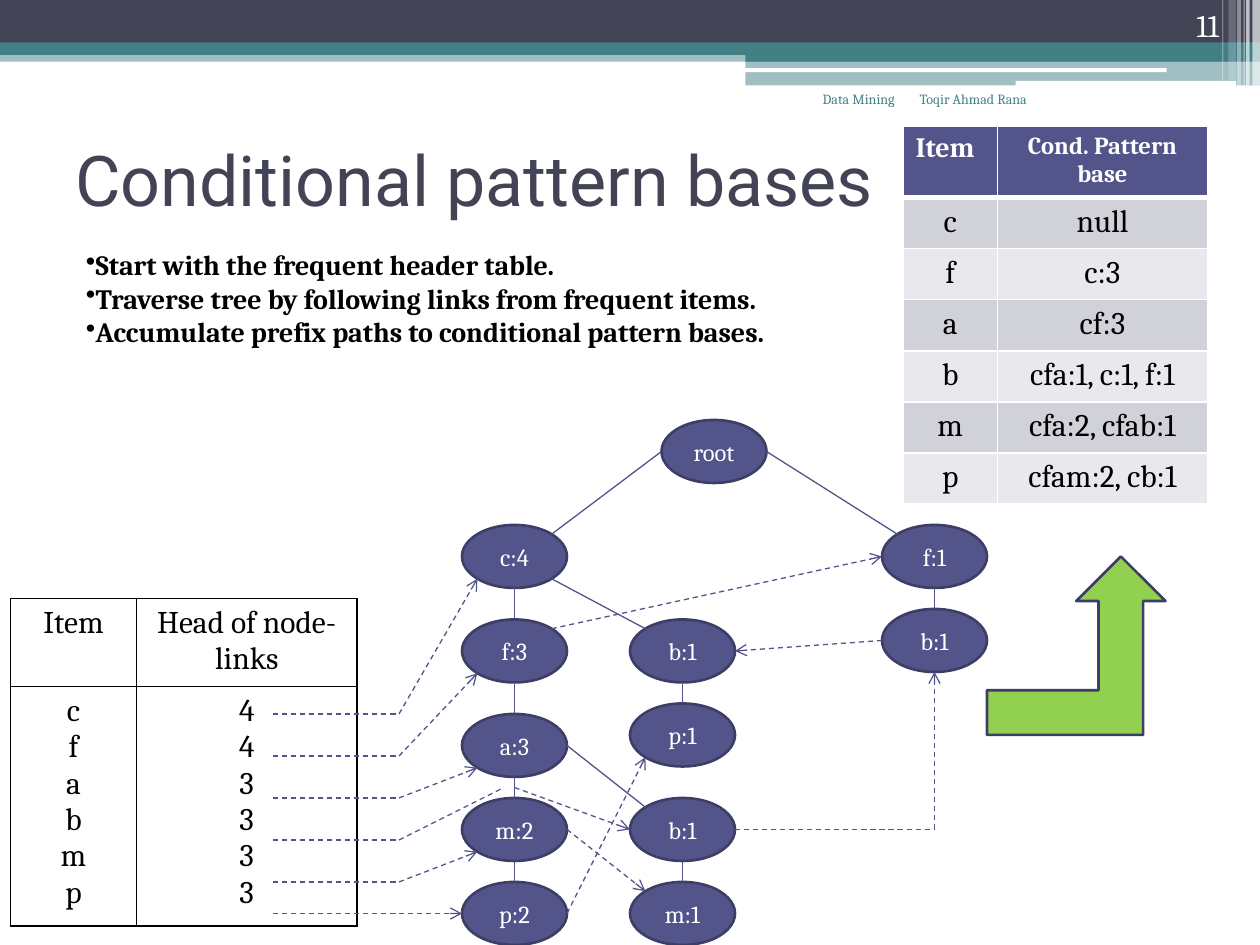
"""Build the slide on conditional pattern bases of a frequent-pattern tree."""
from lxml import etree
from pptx import Presentation
from pptx.dml.color import RGBColor
from pptx.enum.dml import MSO_LINE
from pptx.enum.shapes import MSO_CONNECTOR, MSO_SHAPE
from pptx.enum.text import MSO_ANCHOR, PP_ALIGN
from pptx.oxml.ns import qn
from pptx.util import Pt

RECT, ROUNDED = MSO_SHAPE.RECTANGLE, MSO_SHAPE.ROUNDED_RECTANGLE
ELLIPSE, BENT_ARROW = MSO_SHAPE.OVAL, MSO_SHAPE.BENT_UP_ARROW
STRAIGHT, DASH = MSO_CONNECTOR.STRAIGHT, MSO_LINE.DASH
LEFT, CENTER, RIGHT = PP_ALIGN.LEFT, PP_ALIGN.CENTER, PP_ALIGN.RIGHT
TOP, MIDDLE, BOTTOM = MSO_ANCHOR.TOP, MSO_ANCHOR.MIDDLE, MSO_ANCHOR.BOTTOM

COLORS = {
    "white": "FFFFFF", "black": "000000", "slate": "424456", "teal": "438086",
    "indigo": "53548A", "outline": "3D3E66", "green": "92D050",
    "band_dark": "D1D1DA", "band_light": "E9E9ED",
}

BANDS = [
    (RECT, 0, 28.8, 720, 6.5, "teal", 50),
    (RECT, 0, 0, 720, 24.5, "slate", 100),
    (RECT, 0, 24.2, 720, 7.2, "teal", 100),
    (RECT, 426, 28, 294, 7.2, "teal", 100),
    (RECT, 426, 34.6, 294, 14.2, "teal", 50),
    (ROUNDED, 425.5, 39, 241.2, 2.2, "white", 100),
    (ROUNDED, 580.3, 46.3, 126, 2.9, "white", 100),
    (RECT, 715.7, 0, 4.3, 49, "white", 65),
    (RECT, 712.1, 0, 2.1, 49, "white", 65),
    (RECT, 710.6, 0, 0.7, 49, "white", 60),
    (RECT, 707, 0, 2.1, 49, "white", 40),
    (RECT, 702, 0, 4.3, 46, "white", 20),
    (RECT, 698.4, 0, 0.7, 46, "white", 30),
]

NODE_W, NODE_H = 60, 36
NODES = {
    "root": ("root", 408, 258),
    "c": ("c:4", 294, 318), "f": ("f:3", 294, 372), "a": ("a:3", 294, 426),
    "m": ("m:2", 294, 474), "p": ("p:2", 294, 522),
    "cb": ("b:1", 390, 372), "cbp": ("p:1", 390, 420),
    "ab": ("b:1", 390, 474), "abm": ("m:1", 390, 522),
    "f_right": ("f:1", 534, 318), "b_right": ("b:1", 534, 366),
}
DIAGONAL = 0.707
SIDES = {
    "n": (0, -1), "s": (0, 1), "w": (-1, 0), "e": (1, 0),
    "nw": (-DIAGONAL, -DIAGONAL), "ne": (DIAGONAL, -DIAGONAL),
    "sw": (-DIAGONAL, DIAGONAL), "se": (DIAGONAL, DIAGONAL),
}
TREE_EDGES = [
    ("root", "w", "c", "ne"), ("root", "e", "f_right", "nw"),
    ("c", "s", "f", "n"), ("f", "s", "a", "n"), ("a", "s", "m", "n"),
    ("m", "s", "p", "n"), ("c", "se", "cb", "nw"), ("cb", "s", "cbp", "n"),
    ("a", "e", "ab", "nw"), ("ab", "s", "abm", "n"),
    ("f_right", "s", "b_right", "n"),
]
NODE_LINKS = [
    ("p", "e", "cbp", "sw"), ("m", "e", "abm", "nw"),
    ("f", "ne", "f_right", "w"), ("b_right", "w", "cb", "e"),
]
HEAD_LINKS = [
    (408, "c", "sw"), (432, "f", "sw"), (456, "a", "sw"),
    (504, "m", "sw"), (522, "p", "w"),
]
HEAD_X, KINK_X = 156, 228
B_LINK_Y, B_LINK_END, B_LINK_RESUME = 480, (288, 450), (294, 450)

PATTERN_BASES = [
    ("c", "null"), ("f", "c:3"), ("a", "cf:3"), ("b", "cfa:1, c:1, f:1"),
    ("m", "cfa:2, cfab:1"), ("p", "cfam:2, cb:1"),
]


def rgb(color):
    return RGBColor.from_string(COLORS[color])


def write(frame, text, size=18, color="black", font="Cambria", bold=False,
          align=LEFT, anchor=TOP, bullet=None):
    frame.word_wrap = True
    frame.vertical_anchor = anchor
    frame.text = text
    for paragraph in frame.paragraphs:
        paragraph.alignment = align
        if bullet:
            mark = etree.SubElement(paragraph._p.get_or_add_pPr(), qn("a:buChar"))
            mark.set("char", bullet)
        for run in paragraph.runs:
            run.font.name, run.font.size, run.font.bold = font, Pt(size), bold
            run.font.color.rgb = rgb(color)


def add_text(slide, box, text, **style):
    write(slide.shapes.add_textbox(*map(Pt, box)).text_frame, text, **style)


def add_figure(slide, kind, box, fill, outline=None, opacity=100):
    figure = slide.shapes.add_shape(kind, *map(Pt, box))
    figure.shadow.inherit = False
    figure.fill.solid()
    figure.fill.fore_color.rgb = rgb(fill)
    if opacity < 100:
        tint = figure.fill._xPr.find(qn("a:solidFill"))[0]
        etree.SubElement(tint, qn("a:alpha")).set("val", str(opacity * 1000))
    if outline:
        figure.line.color.rgb = rgb(outline)
        figure.line.width = Pt(1.5)
    else:
        figure.line.fill.background()
    return figure


def add_node(slide, label, x, y):
    box = (x - NODE_W / 2, y - NODE_H / 2, NODE_W, NODE_H)
    node = add_figure(slide, ELLIPSE, box, "indigo", "outline")
    write(node.text_frame, label, size=14, color="white", align=CENTER, anchor=MIDDLE)


def port(node, side):
    _, x, y = NODES[node]
    dx, dy = SIDES[side]
    return x + dx * NODE_W / 2, y + dy * NODE_H / 2


def add_link(slide, start, end, dashed=False, arrow=False):
    link = slide.shapes.add_connector(STRAIGHT, *map(Pt, (*start, *end)))
    link.line.color.rgb = rgb("indigo")
    link.line.width = Pt(0.75)
    if dashed:
        link.line.dash_style = DASH
    if arrow:
        etree.SubElement(link.line._get_or_add_ln(), qn("a:tailEnd")).set("type", "arrow")
    etree.SubElement(link._element.spPr, qn("a:effectLst"))


def add_grid(slide, left, top, widths, heights):
    box = map(Pt, (left, top, sum(widths), sum(heights)))
    table = slide.shapes.add_table(len(heights), len(widths), *box).table
    table.first_row = table.horz_banding = False
    for column, width in zip(table.columns, widths):
        column.width = Pt(width)
    for row, height in zip(table.rows, heights):
        row.height = Pt(height)
    return table


def fill_cell(cell, text, border, fill=None, edges=(1, 1, 1, 1), **style):
    properties = cell._tc.get_or_add_tcPr()
    for side, width in zip("LRTB", edges):
        edge = etree.SubElement(properties, qn(f"a:ln{side}"), w=str(Pt(width)))
        paint = etree.SubElement(edge, qn("a:solidFill"))
        etree.SubElement(paint, qn("a:srgbClr"), val=COLORS[border])
    if fill:
        cell.fill.solid()
        cell.fill.fore_color.rgb = rgb(fill)
    else:
        cell.fill.background()
    write(cell.text_frame, text, **style)


def add_header_table(slide):
    table = add_grid(slide, 6, 342, (72, 126), (50.4, 136.8))
    rows = [("Item", "Head of node-links"), ("c\nf\na\nb\nm\np", "4\n4\n3\n3\n3\n3")]
    for r, row in enumerate(rows):
        for c, text in enumerate(row):
            fill_cell(table.cell(r, c), text, "black", align=CENTER)


def add_pattern_table(slide):
    table = add_grid(slide, 516, 72, (54, 120), [40.4] + [29.2] * len(PATTERN_BASES))
    for c, (text, size, align) in enumerate([("Item", 16, LEFT), ("Cond. Pattern base", 14, CENTER)]):
        fill_cell(table.cell(0, c), text, "white", "indigo", (1, 1, 1, 3),
                  size=size, color="white", bold=True, align=align)
    for r, row in enumerate(PATTERN_BASES, 1):
        edges = (1, 1, 3 if r == 1 else 1, 1)
        for c, text in enumerate(row):
            fill_cell(table.cell(r, c), text, "white", "band_dark" if r % 2 else "band_light",
                      edges, align=CENTER)


def add_tree(slide):
    for node in NODES.values():
        add_node(slide, *node)
    for start, leave, end, enter in TREE_EDGES:
        add_link(slide, port(start, leave), port(end, enter))
    for start, leave, end, enter in NODE_LINKS:
        add_link(slide, port(start, leave), port(end, enter), dashed=True, arrow=True)
    for y, node, side in HEAD_LINKS:
        add_link(slide, (HEAD_X, y), (KINK_X, y), dashed=True)
        add_link(slide, (KINK_X, y), port(node, side), dashed=True, arrow=True)
    add_link(slide, (HEAD_X, B_LINK_Y), (KINK_X, B_LINK_Y), dashed=True)
    add_link(slide, (KINK_X, B_LINK_Y), B_LINK_END, dashed=True)
    add_link(slide, B_LINK_RESUME, port("ab", "w"), dashed=True, arrow=True)
    corner = (NODES["b_right"][1], NODES["ab"][2])
    add_link(slide, port("ab", "e"), corner, dashed=True)
    add_link(slide, corner, port("b_right", "s"), dashed=True, arrow=True)


def main():
    deck = Presentation()
    deck.slide_width, deck.slide_height = Pt(720), Pt(540)
    slide = deck.slides.add_slide(deck.slide_layouts[6])
    for kind, *box, color, opacity in BANDS:
        add_figure(slide, kind, box, color, opacity=opacity)
    add_text(slide, (36, 60, 648, 84), "Conditional pattern bases",
             size=40, color="slate", font="Roboto", anchor=MIDDLE)
    steps = ("Start with the frequent header table.\n"
             "Traverse tree by following links from frequent items.\n"
             "Accumulate prefix paths to conditional pattern bases.")
    add_text(slide, (42, 138, 462, 65.5), steps, size=16, bold=True, bullet="•")
    add_header_table(slide)
    add_tree(slide)
    add_pattern_table(slide)
    add_figure(slide, BENT_ARROW, (564, 318, 102, 102), "green", "outline")
    add_text(slide, (518.4, 48, 75.6, 36), "Toqir Ahmad Rana", size=8, color="teal")
    add_text(slide, (643.7, 0, 60, 28.8), "11", color="white", align=RIGHT, anchor=BOTTOM)
    add_text(slide, (414, 48, 104.4, 36), "Data Mining", size=8, color="teal", align=RIGHT)
    deck.save("out.pptx")


main()
